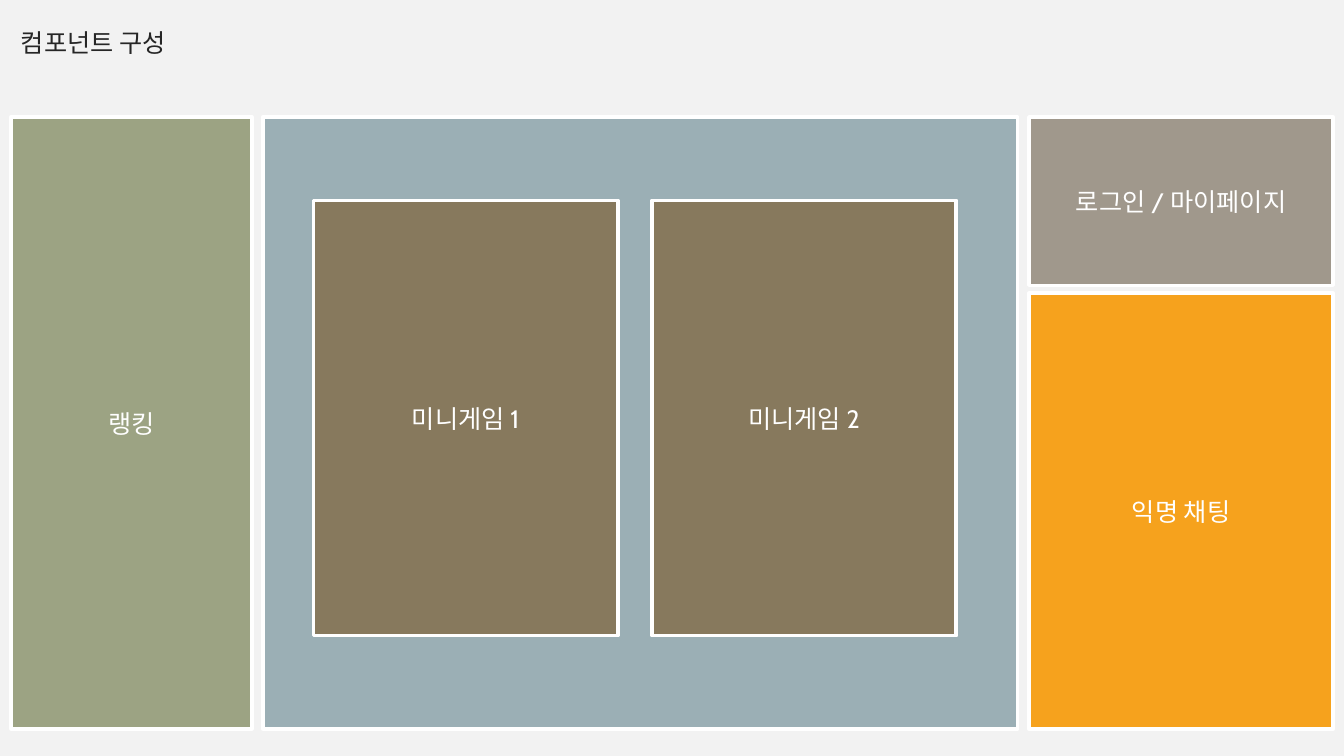
from dataclasses import dataclass

from pptx import Presentation
from pptx.dml.color import RGBColor
from pptx.enum.shapes import MSO_SHAPE
from pptx.enum.text import MSO_ANCHOR, PP_ALIGN
from pptx.util import Cm, Pt


@dataclass(frozen=True)
class Theme:
    background: str = "F2F2F2"
    title: str = "262626"
    white: str = "FFFFFF"
    ranking: str = "9CA383"
    stage: str = "9BAFB5"
    game: str = "87795D"
    login: str = "A0988C"
    chat: str = "F6A21D"
    font: str = "Cabin"
    text_size: float = 18
    border: float = 2.5


@dataclass(frozen=True)
class Box:
    """A rectangle measured in centimetres."""
    left: float
    top: float
    width: float
    height: float

    def lengths(self):
        return Cm(self.left), Cm(self.top), Cm(self.width), Cm(self.height)


THEME = Theme()
GAP = 0.28
RANKING_WIDTH, STAGE_WIDTH, SIDE_WIDTH = 6.07, 19.02, 7.67
PANEL_TOP, PANEL_HEIGHT = 2.95, 15.42


def add_text(paragraph, text, color):
    run = paragraph.add_run()
    run.text = text
    run.font.name = THEME.font
    run.font.size = Pt(THEME.text_size)
    run.font.color.rgb = RGBColor.from_string(color)


def add_panel(slide, box, fill, label=""):
    shape = slide.shapes.add_shape(MSO_SHAPE.RECTANGLE, *box.lengths())
    shape.shadow.inherit = False
    shape.fill.solid()
    shape.fill.fore_color.rgb = RGBColor.from_string(fill)
    shape.line.color.rgb = RGBColor.from_string(THEME.white)
    shape.line.width = Pt(THEME.border)
    if label:
        frame = shape.text_frame
        frame.word_wrap = True
        frame.vertical_anchor = MSO_ANCHOR.MIDDLE
        paragraph = frame.paragraphs[0]
        paragraph.alignment = PP_ALIGN.CENTER
        add_text(paragraph, label, THEME.white)


def add_title(slide, box):
    frame = slide.shapes.add_textbox(*box.lengths()).text_frame
    frame.word_wrap = True
    paragraph = frame.paragraphs[0]
    paragraph.space_before = Pt(10)
    add_text(paragraph, "컴포넌트 구성", THEME.title)


def add_game_stage(slide, box):
    """Central area with two mini-games side by side."""
    add_panel(slide, box, THEME.stage)
    inset, gap, width, height = 1.27, 0.86, 7.67, 10.97
    top = box.top + 2.1
    for index in range(2):
        left = box.left + inset + index * (width + gap)
        add_panel(slide, Box(left, top, width, height), THEME.game,
                  f"미니게임 {index + 1}")


def add_side_column(slide, box):
    """Login panel above the chat panel."""
    login_height, gap = 4.24, 0.2
    used = login_height + gap
    add_panel(slide, Box(box.left, box.top, box.width, login_height),
              THEME.login, "로그인 / 마이페이지")
    add_panel(slide, Box(box.left, box.top + used, box.width, box.height - used),
              THEME.chat, "익명 채팅")


def main():
    presentation = Presentation()
    presentation.slide_width = Cm(33.87)
    presentation.slide_height = Cm(19.05)
    slide = presentation.slides.add_slide(presentation.slide_layouts[6])
    slide.background.fill.solid()
    slide.background.fill.fore_color.rgb = RGBColor.from_string(THEME.background)

    # Heading
    add_title(slide, Box(GAP, 0.56, RANKING_WIDTH, 1.37))

    # Three columns separated by equal gaps
    stage_left = GAP + RANKING_WIDTH + GAP
    side_left = stage_left + STAGE_WIDTH + GAP
    add_panel(slide, Box(GAP, PANEL_TOP, RANKING_WIDTH, PANEL_HEIGHT),
              THEME.ranking, "랭킹")
    add_game_stage(slide, Box(stage_left, PANEL_TOP, STAGE_WIDTH, PANEL_HEIGHT))
    add_side_column(slide, Box(side_left, PANEL_TOP, SIDE_WIDTH, PANEL_HEIGHT))

    presentation.save("out.pptx")


if __name__ == "__main__":
    main()
